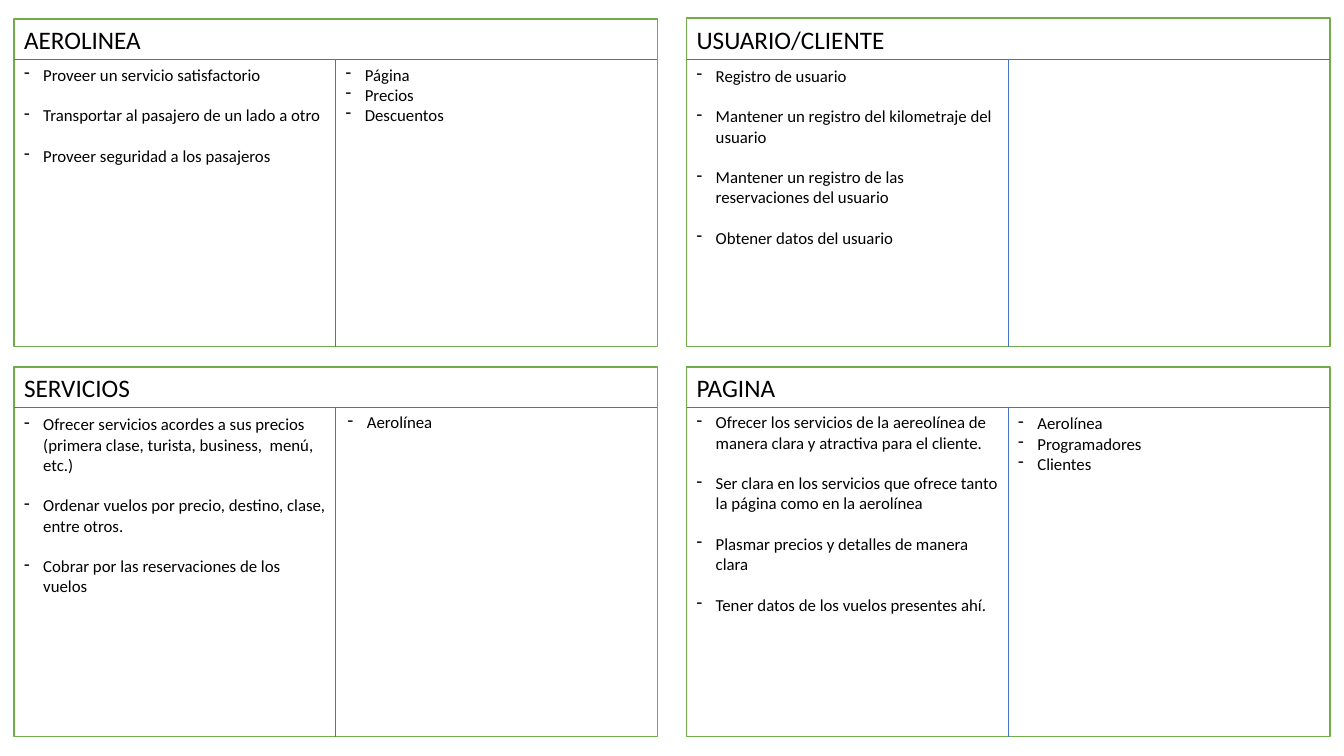
"""Build a slide with four class cards: heading, responsibilities and collaborators."""
from lxml import etree
from pptx import Presentation
from pptx.dml.color import RGBColor
from pptx.enum import shapes, text
from pptx.oxml import ns
from pptx.util import Inches, Pt

CARD_WIDTH = 6.38
HALF = CARD_WIDTH / 2
LEFT, RIGHT = 0.14, 6.81
HEADING_HEIGHT = 0.4
INDENT = 0.19
BLANK_LINE = 14.65

# left, top, rule, bottom, heading, (dx, dy, height, responsibilities), (dx, dy, height, collaborators)
cards = [
    (LEFT, 0.19, 0.59, 3.44, "AEROLINEA",
     (0, 0, 1.31, ["Proveer un servicio satisfactorio",
                   "Transportar al pasajero de un lado a otro",
                   "Proveer seguridad a los pasajeros"]),
     (HALF, 0, 0.71, ["Página", "Precios", "Descuentos"])),
    (RIGHT, 0.18, 0.59, 3.44, "USUARIO/CLIENTE",
     (0, 0.01, 2.12, ["Registro de usuario",
                      "Mantener un registro del kilometraje del usuario",
                      "Mantener un registro de las reservaciones del usuario",
                      "Obtener datos del usuario"]),
     None),
    (LEFT, 3.64, 4.04, 7.31, "SERVICIOS",
     (0, 0.02, 2.52, ["Ofrecer servicios acordes a sus precios (primera clase, turista, business,  menú, etc.)",
                      "Ordenar vuelos por precio, destino, clase, entre otros.",
                      "Cobrar por las reservaciones de los vuelos"]),
     (HALF + 0.02, 0, 0.71, ["Aerolínea"])),
    (RIGHT, 3.64, 4.04, 7.31, "PAGINA",
     (0, 0, 2.52, ["Ofrecer los servicios de la aereolínea de manera clara y atractiva para el cliente.",
                   "Ser clara en los servicios que ofrece tanto la página como en la aerolínea",
                   "Plasmar precios y detalles de manera clara",
                   "Tener datos de los vuelos presentes ahí."]),
     (HALF, 0.01, 1.31, ["Aerolínea", "Programadores", "Clientes"])),
]

deck = Presentation()
deck.slide_width, deck.slide_height = Inches(13.33), Inches(7.5)
page = deck.slides.add_slide(deck.slide_layouts[6])


def add_text(left, top, width, height, lines, size, gap=0, dashed=False):
    box = page.shapes.add_textbox(Inches(left), Inches(top), Inches(width), Inches(height))
    frame = box.text_frame
    frame.word_wrap = True
    frame.auto_size = text.MSO_AUTO_SIZE.SHAPE_TO_FIT_TEXT
    for number, line in enumerate(lines):
        para = frame.add_paragraph() if number else frame.paragraphs[0]
        if number and gap:
            para.space_before = Pt(gap)
        if dashed:
            properties = para._p.get_or_add_pPr()
            properties.set("marL", str(Inches(INDENT)))
            properties.set("indent", str(-Inches(INDENT)))
            etree.SubElement(properties, ns.qn("a:buFontTx"))
            etree.SubElement(properties, ns.qn("a:buChar")).set("char", "-")
        span = para.add_run()
        span.text = line
        span.font.name = "Calibri"
        span.font.size = Pt(size)
        span.font.color.rgb = RGBColor.from_string("000000")


def add_rule(x1, y1, x2, y2):
    rule = page.shapes.add_connector(shapes.MSO_CONNECTOR.STRAIGHT,
                                     Inches(x1), Inches(y1), Inches(x2), Inches(y2))
    rule.line.color.rgb = RGBColor.from_string("4472C4")
    rule.line.width = Pt(0.5)
    etree.SubElement(rule._element.spPr, ns.qn("a:effectLst"))
    return rule


for left, top, rule_y, bottom, heading, duties, partners in cards:
    card = page.shapes.add_shape(shapes.MSO_SHAPE.RECTANGLE, Inches(left), Inches(top),
                                 Inches(CARD_WIDTH), Inches(bottom - top))
    card.shadow.inherit = False
    card.fill.solid()
    card.fill.fore_color.rgb = RGBColor.from_string("FFFFFF")
    card.line.color.rgb = RGBColor.from_string("70AD47")
    card.line.width = Pt(1)

    add_rule(left, rule_y, left + CARD_WIDTH, rule_y)
    divider = add_rule(left + HALF, rule_y, left + HALF, bottom)
    divider.end_connect(card, 2)

    add_text(left, rule_y - HEADING_HEIGHT, CARD_WIDTH, HEADING_HEIGHT, [heading], 18)
    for column, gap in ((duties, BLANK_LINE), (partners, 0)):
        if column:
            dx, dy, height, lines = column
            add_text(left + dx, rule_y + dy, HALF, height, lines, 12, gap, dashed=True)

deck.save("out.pptx")
